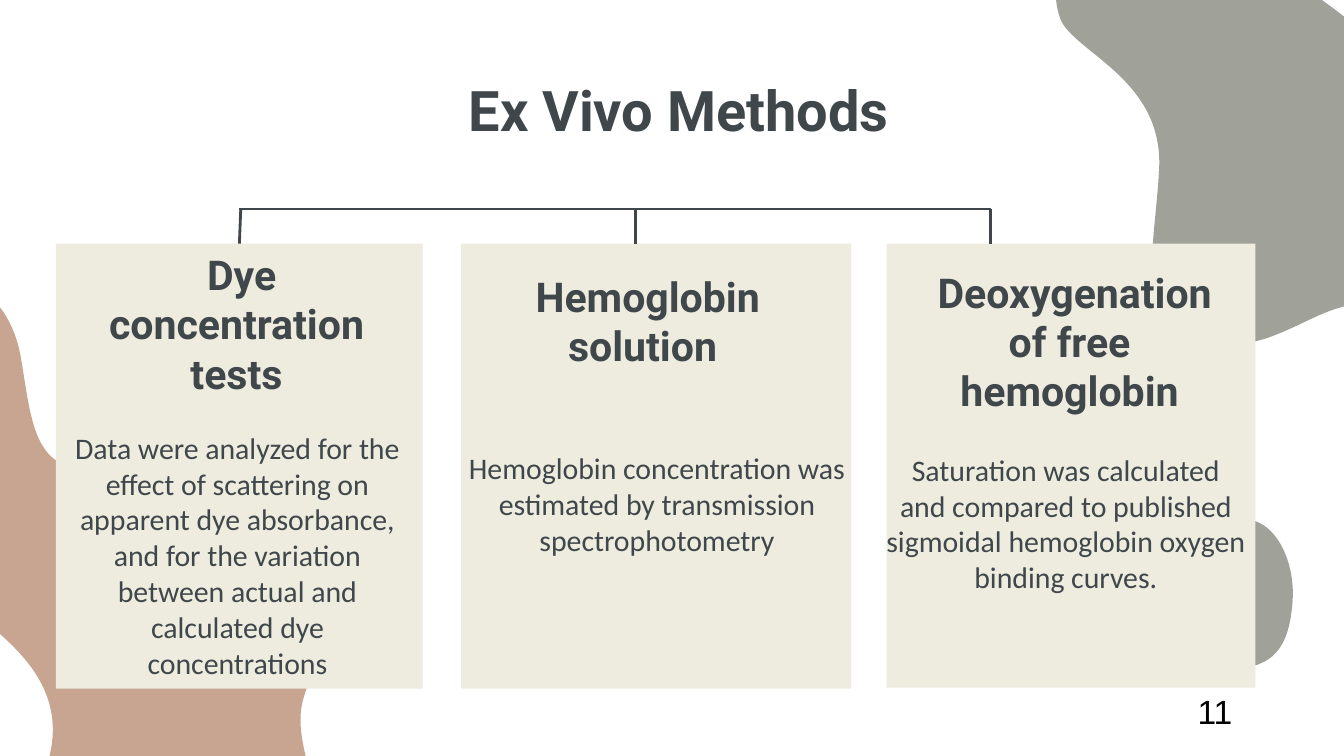
from math import cos, radians, sin

from lxml.etree import SubElement
from pptx import Presentation
from pptx.dml.color import RGBColor
from pptx.enum.shapes import MSO_CONNECTOR, MSO_SHAPE
from pptx.enum.text import MSO_ANCHOR, PP_ALIGN
from pptx.oxml.ns import qn
from pptx.util import Pt

INK, CARD, GREY, CLAY = "40474B", "EDECDF", "A0A299", "C8A591"

# Each blob: colour, box, rotation, start point as it lies on the slide,
# then Bezier segments (two controls and an end)
BLOBS = [
    (GREY, (509, -13, 327.5, 201.5), 222.8, (568, 10), [
        (575, 28, 623, 42, 621, 90), (618.5, 137.5, 607, 164, 643, 180.5),
        (678.5, 196.5, 708, 157, 735, 164), (762, 171.5, 843, 145.5, 786, 74),
        (730, 3.5, 649.5, -44.5, 607.5, -41), (566, -38, 561.5, -8, 568, 10)]),
    (CLAY, (-144.5, 145.5, 368.5, 335), 11.2, (11.5, 193.5), [
        (17.5, 228, 18, 264, 67.5, 246), (116.5, 228, 187, 242.5, 201, 276),
        (215.5, 308, 170, 341.5, 162, 376.5), (154, 411, 198.5, 460, 152, 478),
        (106, 497, 3.5, 464.5, 24, 413.5), (43, 361.5, -4.5, 335.5, -45.5, 306),
        (-86.5, 276, -123, 189.5, -73.5, 160), (-23, 130.5, 6.5, 158.5, 11.5, 193.5)]),
    (GREY, (633.5, 278, 61, 80), 0, (665.5, 278), [
        (664, 278, 661.5, 278.5, 659.5, 278.5), (642, 283, 633.5, 301.5, 633.5, 322.5),
        (633.5, 344, 647.5, 356.5, 664, 358), (684.5, 356.5, 691, 343.5, 692.5, 322),
        (694, 302.5, 684.5, 278, 665.5, 278)]),
]

# Each method: card box, heading with its box, body paragraphs with their box
METHODS = [
    ((30, 130.5, 196.5, 238.5),
     " Dye concentration tests", (48, 159.5, 157.5, 27.5),
     ["Data were analyzed for the effect of scattering on apparent dye absorbance, "
      "and for the variation between actual and calculated dye concentrations"],
     (29, 265.5, 196.5, 63.5)),
    ((247, 130.5, 209, 238.5),
     " Hemoglobin solution", (270, 158, 148.5, 27.5),
     ["Hemoglobin concentration was estimated by transmission", "spectrophotometry"],
     (241, 238, 222, 63.5)),
    ((475, 130.5, 197.5, 238),
     " Deoxygenation of free hemoglobin", (484, 169, 178, 27.5),
     ["Saturation was calculated and compared to published sigmoidal "
      "hemoglobin oxygen binding curves."],
     (467.5, 248.5, 207.1, 63.5)),
]


def color(hex_string):
    return RGBColor.from_string(hex_string)


def paint(shape, fill):
    shape.shadow.inherit = False
    shape.fill.solid()
    shape.fill.fore_color.rgb = color(fill)
    shape.line.fill.background()


def turn_back(point, box, rotation):
    """Place a slide point inside the box as it lies before rotation."""
    left, top, width, height = box
    angle = radians(rotation)
    x, y = point[0] - left - width / 2, point[1] - top - height / 2
    return (Pt(x * cos(angle) + y * sin(angle) + width / 2),
            Pt(y * cos(angle) - x * sin(angle) + height / 2))


def add_blob(slide, fill, box, rotation, start, segments):
    first = turn_back(start, box, rotation)
    curves = [[turn_back(values[i:i + 2], box, rotation) for i in (0, 2, 4)]
              for values in segments]
    builder = slide.shapes.build_freeform(*first)
    builder.add_line_segments([curve[-1] for curve in curves], close=True)
    shape = builder.convert_to_shape()
    shape.left, shape.top, shape.width, shape.height = map(Pt, box)
    shape.rotation = rotation
    paint(shape, fill)

    # Turn the straight segments into curves
    outline = shape._element.find(".//" + qn("a:path"))
    outline.clear()
    outline.set("w", str(shape.width))
    outline.set("h", str(shape.height))
    commands = [("moveTo", [first])] + [("cubicBezTo", curve) for curve in curves]
    for name, points in commands + [("close", [])]:
        command = SubElement(outline, qn("a:" + name))
        for x, y in points:
            SubElement(command, qn("a:pt"), x=str(int(x)), y=str(int(y)))


def add_card(slide, box):
    card = slide.shapes.add_shape(MSO_SHAPE.RECTANGLE, *map(Pt, box))
    paint(card, CARD)
    return card


def add_text(slide, box, paragraphs, font, size, hex_color=INK, bold=False,
             align=PP_ALIGN.CENTER, anchor=MSO_ANCHOR.MIDDLE, inset=7.2):
    frame = slide.shapes.add_textbox(*map(Pt, box)).text_frame
    frame.word_wrap = True
    frame.vertical_anchor = anchor
    frame.margin_top = frame.margin_bottom = Pt(inset)
    frame.text = "\n".join(paragraphs)
    for paragraph in frame.paragraphs:
        paragraph.alignment = align
        paragraph.font.name = font
        paragraph.font.size = Pt(size)
        paragraph.font.bold = bold
        paragraph.font.color.rgb = color(hex_color)


def add_line(slide, *ends):
    line = slide.shapes.add_connector(MSO_CONNECTOR.STRAIGHT, *map(Pt, ends))
    line.line.color.rgb = color(INK)
    line.line.width = Pt(1.5)
    SubElement(line._element.spPr, qn("a:effectLst"))
    return line


def main():
    presentation = Presentation()
    presentation.slide_width, presentation.slide_height = Pt(720), Pt(405)
    slide = presentation.slides.add_slide(presentation.slide_layouts[6])

    # Background blobs and title
    for blob in BLOBS:
        add_blob(slide, *blob)
    add_text(slide, (56, 41, 608, 42.5), [" Ex Vivo Methods"], "Roboto", 30,
             bold=True, anchor=MSO_ANCHOR.BOTTOM)

    # Method cards
    cards = [add_card(slide, method[0]) for method in METHODS]
    for _, heading, heading_box, body, body_box in METHODS:
        add_text(slide, heading_box, [heading], "Roboto", 22, bold=True)
        add_text(slide, body_box, body, "Calibri", 16)

    # Bracket joining the cards
    bar_y, card_top = 112, 130.5
    add_line(slide, 128.25, bar_y, 531, bar_y)
    first_drop = add_line(slide, 129.5, card_top, 129, bar_y)
    first_drop.begin_connect(cards[0], 0)
    for x in (340.5, 530.5):
        add_line(slide, x, card_top, x, bar_y)

    # Page number
    add_text(slide, (634.5, 366.5, 50.5, 29), ["11"], "Arial", 18, "000000",
             align=PP_ALIGN.LEFT, anchor=MSO_ANCHOR.TOP, inset=3.6)

    presentation.save("out.pptx")


if __name__ == "__main__":
    main()
